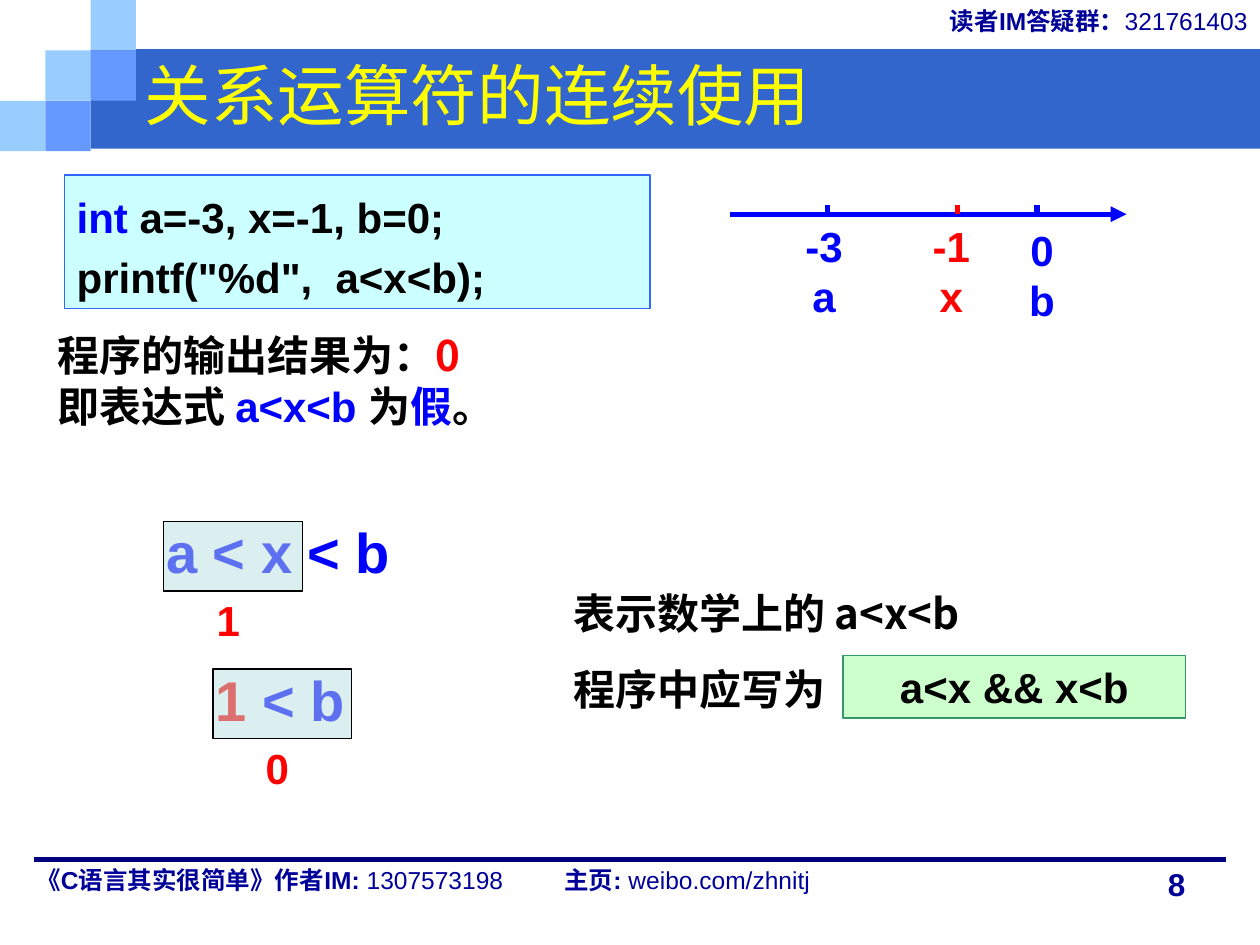
import pptx
import pptx.dml.color
import pptx.enum.shapes
import pptx.enum.text
import pptx.oxml.ns
import pptx.util
from lxml import etree
from pptx.util import Inches

LATIN, CJK = "Arial", "Noto Sans CJK SC"
NAVY, BLUE, RED, BLACK = "000099", "0000FF", "FF0000", "000000"
ALIGN = pptx.enum.text.PP_ALIGN
ANCHOR = pptx.enum.text.MSO_ANCHOR
qn = pptx.oxml.ns.qn


def rgb(value):
    return pptx.dml.color.RGBColor.from_string(value)


def write(tf, paragraphs, size, align=ALIGN.LEFT, anchor=ANCHOR.TOP, gap=0, spacing=None):
    """Fill a text frame; each paragraph lists (text, colour, bold, font) runs."""
    tf.word_wrap = True
    tf.auto_size = pptx.enum.text.MSO_AUTO_SIZE.NONE
    tf.vertical_anchor = anchor
    for i, runs in enumerate(paragraphs):
        p = tf.add_paragraph() if i else tf.paragraphs[0]
        p.alignment = align
        p.space_before = pptx.util.Pt(gap if i else 0)
        if spacing:
            p.line_spacing = spacing
        for text, color, bold, font in runs:
            r = p.add_run()
            r.text = text
            r.font.size = pptx.util.Pt(size)
            r.font.bold = bold
            r.font.name = font
            r.font.color.rgb = rgb(color)
            ea = etree.SubElement(r._r.get_or_add_rPr(), qn("a:ea"))
            ea.set("typeface", CJK)


def add_text(s, x, y, w, h, paragraphs, size, **options):
    box = s.shapes.add_textbox(Inches(x), Inches(y), Inches(w), Inches(h))
    write(box.text_frame, paragraphs, size, **options)
    return box


def add_box(s, x, y, w, h, fill, line=None, alpha=None):
    sp = s.shapes.add_shape(pptx.enum.shapes.MSO_SHAPE.RECTANGLE,
                            Inches(x), Inches(y), Inches(w), Inches(h))
    sp.shadow.inherit = False
    sp.fill.solid()
    sp.fill.fore_color.rgb = rgb(fill)
    if alpha:
        clr = sp._element.spPr.find(".//" + qn("a:srgbClr"))
        etree.SubElement(clr, qn("a:alpha")).set("val", str(alpha * 1000))
    if line:
        sp.line.color.rgb = rgb(line)
        sp.line.width = pptx.util.Pt(0.75)
    else:
        sp.line.fill.background()
    return sp


def add_line(s, x1, y1, x2, y2, color, arrow=False):
    c = s.shapes.add_connector(pptx.enum.shapes.MSO_CONNECTOR.STRAIGHT,
                               Inches(x1), Inches(y1), Inches(x2), Inches(y2))
    c.line.color.rgb = rgb(color)
    c.line.width = pptx.util.Pt(3)
    if arrow:
        etree.SubElement(c.line._get_or_add_ln(), qn("a:tailEnd")).set("type", "triangle")
    etree.SubElement(c._element.spPr, qn("a:effectLst"))


def add_header(s, x, y, w):
    side, step = 0.36, 0.4
    add_box(s, x + 2 * side, y + 0.39, w - 2 * side, 0.79, "3366CC")
    for col, row, color in [(0, 2, "99CCFF"), (1, 1, "99CCFF"), (2, 0, "99CCFF"),
                            (2, 1, "6699FF"), (1, 2, "6699FF")]:
        add_box(s, x + col * side, y + row * step, side, step, color)
    add_text(s, x + 4.25, y, w - 4.25, 0.36,
             [[("读者IM答疑群：", NAVY, True, LATIN), ("321761403", NAVY, False, LATIN)]],
             14, align=ALIGN.RIGHT)


def add_title(s, x, y, w, h):
    title = s.shapes.title
    title.left, title.top, title.width, title.height = map(Inches, (x, y, w, h))
    write(title.text_frame, [[("关系运算符的连续使用", "FFFF00", False, LATIN)]], 38,
          anchor=ANCHOR.MIDDLE)
    # Bring the title in front of the header band
    s.shapes._spTree.append(title._element)


def add_footer(s, x, y, w):
    add_line(s, x, y, x + w, y, "000080")
    box = add_text(s, x - 0.08, y, 7.64, 0.47,
                   [[("《C语言其实很简单》作者IM: ", NAVY, True, LATIN),
                     ("1307573198\t", NAVY, False, LATIN),
                     ("主页: ", NAVY, True, LATIN),
                     ("weibo.com/zhnitj", NAVY, False, LATIN)]], 14)
    pPr = box.text_frame.paragraphs[0]._p.get_or_add_pPr()
    tab = etree.SubElement(etree.SubElement(pPr, qn("a:tabLst")), qn("a:tab"))
    tab.set("pos", str(Inches(4.19)))
    tab.set("algn", "l")
    add_text(s, x + w - 0.56, y, 0.55, 0.4, [[("8", NAVY, True, LATIN)]], 18)


def add_code(s, x, y, w, h):
    sp = add_box(s, x, y, w, h, "CCFFFF", "3366FF")
    write(sp.text_frame,
          [[("int ", BLUE, True, LATIN), ("a=-3, x=-1, b=0;", BLACK, True, LATIN)],
           [('printf("%d",  a<x<b);', BLACK, True, LATIN)]], 24, spacing=1.2)


def add_number_line(s, x, y, w):
    add_line(s, x, y, x + w, y, BLUE, arrow=True)
    for dx, label_dx, label_dy, value, name, color in [
            (0.78, 0.75, 0, "-3", "a", BLUE),
            (1.81, 1.76, 0, "-1", "x", RED),
            (2.44, 2.48, 0.03, "0", "b", BLUE)]:
        add_line(s, x + dx, y - 0.07, x + dx, y, color)
        add_text(s, x + label_dx - 0.34, y + label_dy, 0.68, 0.9,
                 [[(value, color, True, LATIN)], [(name, color, True, LATIN)]],
                 24, align=ALIGN.CENTER)


def add_result(s, x, y, w, h):
    add_text(s, x, y, w, h,
             [[("程序的输出结果为：", BLACK, True, CJK), ("0", RED, True, CJK)],
              [("即表达式 ", BLACK, True, CJK), ("a<x<b ", BLUE, True, LATIN),
               ("为", BLACK, True, CJK), ("假", BLUE, True, CJK),
               ("。", BLACK, True, CJK)]], 24)


def add_step(s, x, y, runs, value):
    """Expression with its evaluated part shaded and the value beneath."""
    add_text(s, x, y, 2.05, 0.64, [runs], 32)
    add_box(s, x + 0.08, y + 0.08, 1.1, 0.55, "BBE0E3", BLACK, alpha=50)
    add_text(s, x + 0.4, y + 0.61, 0.48, 0.5, [[(value, RED, True, LATIN)]], 24)


def add_advice(s, x, y, w, h):
    add_text(s, x, y, w, h,
             [[("表示数学上的 a<x<b", BLACK, True, CJK)],
              [("程序中应写为", BLACK, True, CJK)]],
             24, anchor=ANCHOR.MIDDLE, gap=15)
    sp = add_box(s, x + 2.24, y + 0.59, 2.72, 0.5, "CCFFCC", "339966")
    write(sp.text_frame, [[("a<x && x<b", BLACK, True, LATIN)]], 24,
          align=ALIGN.CENTER, anchor=ANCHOR.MIDDLE)


def main():
    prs = pptx.Presentation()
    prs.slide_width, prs.slide_height = Inches(10), Inches(7.5)
    s = prs.slides.add_slide(prs.slide_layouts[5])
    add_header(s, 0, 0, 10)
    add_footer(s, 0.27, 6.82, 9.46)
    add_title(s, 1.05, 0.28, 8.75, 0.93)
    add_code(s, 0.51, 1.39, 4.65, 1.06)
    add_number_line(s, 5.79, 1.7, 3.15)
    add_result(s, 0.36, 2.57, 4.19, 0.9)
    add_step(s, 1.22, 4.06, [("a < x < b", BLUE, True, LATIN)], "1")
    add_step(s, 1.61, 5.23, [("1 ", RED, True, LATIN), ("< b", BLUE, True, LATIN)], "0")
    add_advice(s, 4.45, 4.61, 5.04, 1.11)
    prs.save("out.pptx")


if __name__ == "__main__":
    main()
